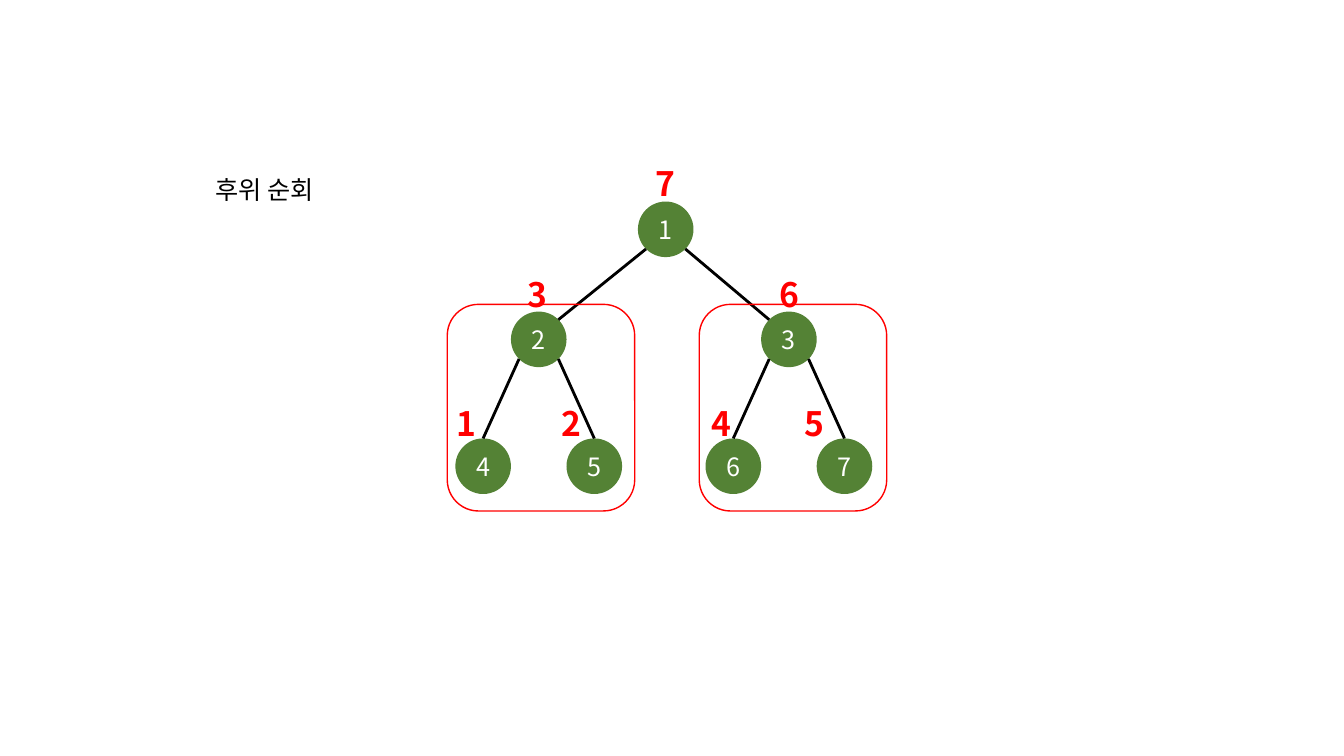
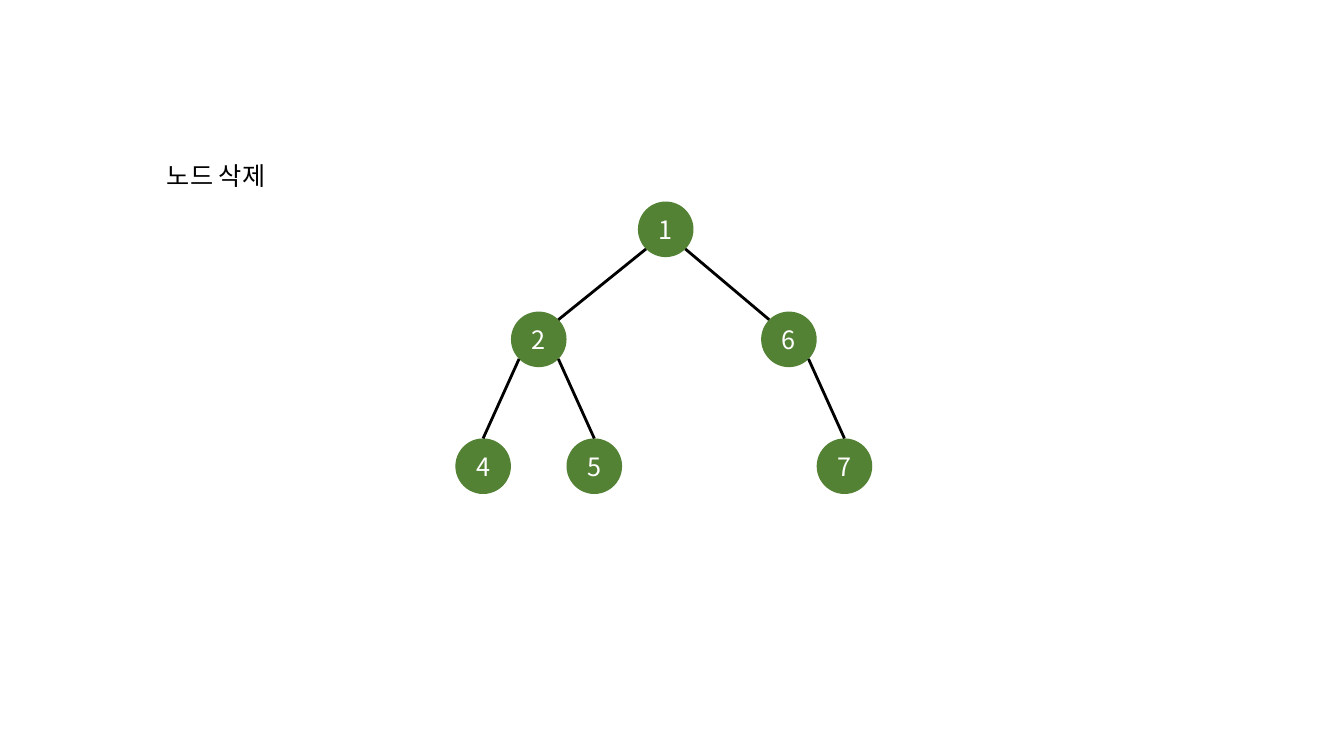
from dataclasses import dataclass
from math import sqrt

from lxml import etree
from pptx import Presentation
from pptx.dml.color import RGBColor
from pptx.enum.shapes import MSO_CONNECTOR, MSO_SHAPE
from pptx.enum.text import MSO_ANCHOR, MSO_AUTO_SIZE, PP_ALIGN
from pptx.oxml.ns import qn
from pptx.util import Pt

OVAL = MSO_SHAPE.OVAL
ROUNDED = MSO_SHAPE.ROUNDED_RECTANGLE
STRAIGHT = MSO_CONNECTOR.STRAIGHT
MIDDLE = MSO_ANCHOR.MIDDLE
CENTER = PP_ALIGN.CENTER
LEFT = PP_ALIGN.LEFT
FIT_SHAPE = MSO_AUTO_SIZE.SHAPE_TO_FIT_TEXT


@dataclass(frozen=True)
class Theme:
    font: str = "Noto Sans CJK KR"
    node: RGBColor = RGBColor(0x54, 0x82, 0x35)
    node_text: RGBColor = RGBColor(0xFF, 0xFF, 0xFF)
    ink: RGBColor = RGBColor(0x00, 0x00, 0x00)
    accent: RGBColor = RGBColor(0xFF, 0x00, 0x00)
    body_size: int = 18
    order_size: int = 24


THEME = Theme()
NODE = 39.7
RADIUS = NODE / 2
RIM = RADIUS / sqrt(2)
ROOT_Y, CHILD_Y, LEAF_Y = 163.8, 242.4, 333
LEFT_X, RIGHT_X = 384.8, 563.5

CENTERS = {
    "root": (475.5, ROOT_Y),
    "left": (LEFT_X, CHILD_Y),
    "right": (RIGHT_X, CHILD_Y),
    "left_a": (LEFT_X - NODE, LEAF_Y),
    "left_b": (LEFT_X + NODE, LEAF_Y),
    "right_a": (RIGHT_X - NODE, LEAF_Y),
    "right_b": (RIGHT_X + NODE, LEAF_Y),
}
EDGES = [
    ("root", "left"), ("root", "right"),
    ("left", "left_a"), ("left", "left_b"),
    ("right", "right_a"), ("right", "right_b"),
]
FULL_TREE = {"root": "1", "left": "2", "right": "3", "left_a": "4",
             "left_b": "5", "right_a": "6", "right_b": "7"}
PRUNED_TREE = {"root": "1", "left": "2", "right": "6", "left_a": "4",
               "left_b": "5", "right_b": "7"}
VISIT_ORDER = [
    ("7", 461.5, 113), ("3", 370, 192.2), ("6", 549.4, 192.2),
    ("1", 319, 284.4), ("2", 393.8, 284.4),
    ("4", 501.1, 284.2), ("5", 567.4, 284.2),
]
PAGES = [
    {"title": "후위 순회", "at": (146.9, 121), "tree": FULL_TREE,
     "order": VISIT_ORDER, "subtrees": [319.5, 499.5]},
    {"title": "노드 삭제", "at": (112.1, 110.9), "tree": PRUNED_TREE,
     "order": [], "subtrees": []},
]


def write(shape, text, size, color, align=LEFT, bold=False):
    para = shape.text_frame.paragraphs[0]
    para.text = text
    para.alignment = align
    span = para.runs[0]
    span.font.name = THEME.font
    span.font.size = Pt(size)
    span.font.bold = bold
    span.font.color.rgb = color
    east_asian = etree.SubElement(span.font._element, qn("a:ea"))
    east_asian.set("typeface", THEME.font)


def add_label(page, text, left, top, width, height, size, color, bold=False):
    box = page.shapes.add_textbox(Pt(left), Pt(top), Pt(width), Pt(height))
    box.text_frame.word_wrap = False
    box.text_frame.auto_size = FIT_SHAPE
    write(box, text, size, color, bold=bold)


deck = Presentation()
deck.slide_width, deck.slide_height = Pt(960), Pt(540)

for content in PAGES:
    page = deck.slides.add_slide(deck.slide_layouts[6])
    tree = content["tree"]

    for place, number in tree.items():
        x, y = CENTERS[place]
        node = page.shapes.add_shape(OVAL, Pt(x - RADIUS), Pt(y - RADIUS), Pt(NODE), Pt(NODE))
        node.shadow.inherit = False
        node.fill.solid()
        node.fill.fore_color.rgb = THEME.node
        node.line.fill.background()
        node.text_frame.vertical_anchor = MIDDLE
        write(node, number, THEME.body_size, THEME.node_text, CENTER)

    for parent, child in EDGES:
        if child not in tree:
            continue
        (x1, y1), (x2, y2) = CENTERS[parent], CENTERS[child]
        side = RIM if x2 > x1 else -RIM
        if parent == "root":
            end_x, end_y = x2 - side, y2 - RIM
        else:
            end_x, end_y = x2, y2 - RADIUS
        edge = page.shapes.add_connector(
            STRAIGHT, Pt(x1 + side), Pt(y1 + RIM), Pt(end_x), Pt(end_y))
        edge.line.color.rgb = THEME.ink
        edge.line.width = Pt(2)
        etree.SubElement(edge._element.spPr, qn("a:effectLst"))

    for number, left, top in content["order"]:
        add_label(page, number, left, top, 28.8, 36, THEME.order_size, THEME.accent, bold=True)

    for left in content["subtrees"]:
        frame = page.shapes.add_shape(ROUNDED, Pt(left), Pt(217.4), Pt(133.9), Pt(147.6))
        frame.shadow.inherit = False
        frame.fill.background()
        frame.line.color.rgb = THEME.accent
        frame.line.width = Pt(1)

    add_label(page, content["title"], *content["at"], 93.6, 29, THEME.body_size, THEME.ink)

deck.save("out.pptx")
